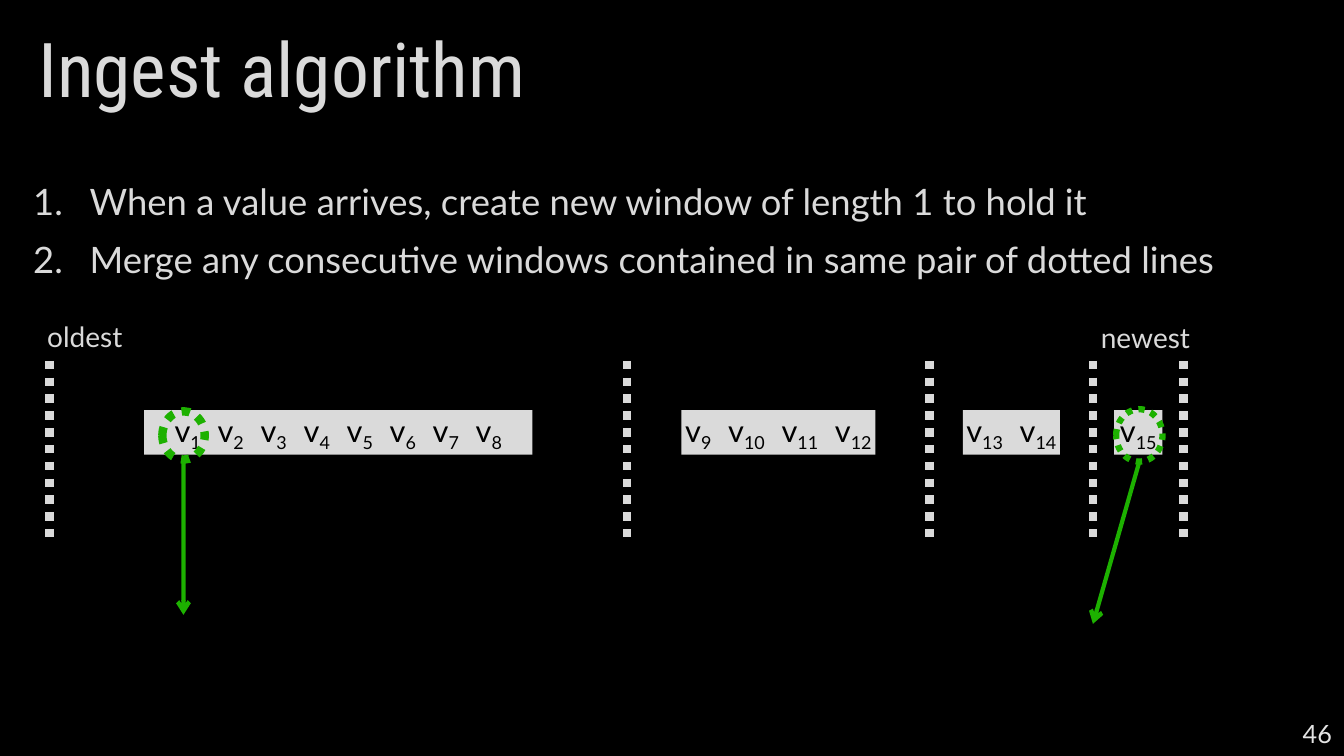
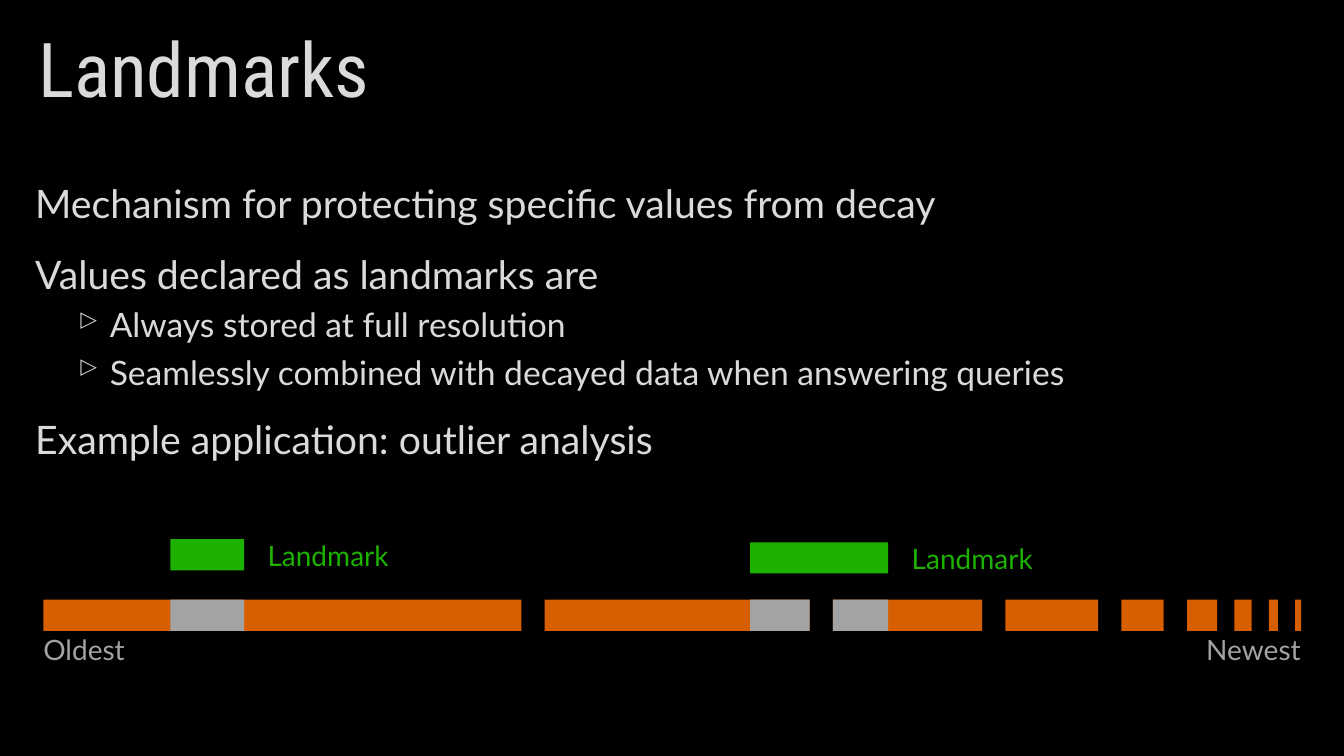
from lxml.etree import SubElement
from pptx import Presentation
from pptx.dml.color import RGBColor
from pptx.enum.dml import MSO_LINE
from pptx.enum.shapes import MSO_CONNECTOR, MSO_SHAPE
from pptx.enum.text import MSO_ANCHOR as ANCHOR, PP_ALIGN as ALIGN
from pptx.oxml.ns import qn
from pptx.util import Inches, Pt

COLORS = {"back": "000000", "text": "DADADA", "number": "E4E4E4",
          "green": "1DB100", "orange": "D75F00", "gray": "A3A3A3"}
RGB = {name: RGBColor.from_string(code) for name, code in COLORS.items()}

prs = Presentation()
prs.slide_width, prs.slide_height = Inches(13.33), Inches(7.5)
# All places and sizes below are percentages of the slide
COL, ROW = prs.slide_width / 100, prs.slide_height / 100


def add_box(s, x, y, w, h, kind=None, fill=None, dots=None):
    """Add a text box, or a preset shape if kind is given."""
    place = int(x * COL), int(y * ROW), int(w * COL), int(h * ROW)
    if kind is None:
        return s.shapes.add_textbox(*place)
    sp = s.shapes.add_shape(kind, *place)
    sp.shadow.inherit = False
    if fill:
        sp.fill.solid()
        sp.fill.fore_color.rgb = RGB[fill]
    else:
        sp.fill.background()
    if dots:
        sp.line.color.rgb = RGB["green"]
        sp.line.width = Pt(dots)
        sp.line.dash_style = MSO_LINE.ROUND_DOT
    else:
        sp.line.fill.background()
    return sp


def write(sp, text, size=20, color="text", font="Lato", align=ALIGN.LEFT,
          anchor=ANCHOR.TOP, inset=None, before=0, spacing=None,
          indent=(0, 0), bullet=None):
    """Add one paragraph; text is a string or a list of (text, attributes)."""
    tf = sp.text_frame
    tf.word_wrap, tf.vertical_anchor = True, anchor
    if inset is not None:
        tf.margin_left = tf.margin_right = inset
        tf.margin_top = tf.margin_bottom = inset
    p = tf.add_paragraph() if tf.text else tf.paragraphs[0]
    p.alignment, p.space_before, p.line_spacing = align, Pt(before), spacing
    pPr = p._p.get_or_add_pPr()
    pPr.set("marL", str(Inches(indent[0])))
    pPr.set("indent", str(Inches(indent[1])))
    if bullet == "1.":
        SubElement(pPr, qn("a:buFont"), typeface="+mj-lt")
        SubElement(pPr, qn("a:buAutoNum"), type="arabicPeriod")
    elif bullet:
        SubElement(pPr, qn("a:buChar"), char=bullet)
    for piece, attrs in [(text, {})] if isinstance(text, str) else text:
        r = p.add_run()
        r.text = piece
        r.font.size, r.font.name, r.font.color.rgb = Pt(size), font, RGB[color]
        for key, value in attrs.items():
            r.font._element.set(key, value)


# Shared: black background, title and body
NUMBERED = dict(size=26, before=10, indent=(0.56, -0.56), bullet="1.")
FIRST = dict(size=28, before=5, indent=(0.02, 0))
LATER = dict(FIRST, before=17)
POINT = dict(size=24, before=5, indent=(0.76, -0.32), bullet="▹")
CONTENT = [
    ("Ingest algorithm", [
        ("When a value arrives, create new window of length 1 to hold it", NUMBERED),
        ("Merge any consecutive windows contained in same pair of dotted lines", NUMBERED)]),
    ("Landmarks", [
        ("Mechanism for protecting specific values from decay", FIRST),
        ("Values declared as landmarks are", LATER),
        ("Always stored at full resolution", POINT),
        ("Seamlessly combined with decayed data when answering queries", POINT),
        ("Example application: outlier analysis", LATER)]),
]
for title, body in CONTENT:
    s = prs.slides.add_slide(prs.slide_layouts[6])
    s.background.fill.solid()
    s.background.fill.fore_color.rgb = RGB["back"]
    write(add_box(s, 2.1, 0, 96, 19.33), title, size=54, font="Roboto Condensed",
          anchor=ANCHOR.MIDDLE, spacing=0.9)
    sp = add_box(s, 1.73, 23.07, 96.6, 67.5)
    for text, style in body:
        write(sp, text, **style)
ingest, landmarks = prs.slides

# Ingest: windows centred between neighbouring dotted lines
DIVIDERS = [3.68, 46.66, 69.17, 81.32, 88.07]
WINDOWS = [range(1, 9), range(9, 13), range(13, 15), range(15, 16)]
VALUE_W = 3.61
for left, right, values in zip(DIVIDERS, DIVIDERS[1:], WINDOWS):
    w = VALUE_W * len(values)
    sp = add_box(ingest, (left + right - w) / 2, 54.27, w, 5.87,
                 MSO_SHAPE.RECTANGLE, "text")
    runs = []
    for value in values:
        if runs:
            runs.append((" ", {"spc": "640"}))
        runs += [("v", {}), (str(value), {"baseline": "-25000"})]
    write(sp, runs, size=22, color="back", align=ALIGN.CENTER,
          anchor=ANCHOR.MIDDLE, inset=0)

# Ingest: rings around the oldest and newest value, each with an arrow
lines = [(x, 47.73, x, 71.47, "text", 6) for x in DIVIDERS]
for x, y, w, h, dots, end_x, end_y in [(12.08, 54.4, 3.15, 6.4, 6, 13.65, 81.33),
                                       (83.05, 54.13, 3.45, 6.93, 4.5, 81.32, 82.53)]:
    add_box(ingest, x, y, w, h, MSO_SHAPE.OVAL, dots=dots)
    lines.append((x + w / 2, y + h, end_x, end_y, "green", 3))

for x1, y1, x2, y2, color, width in lines:
    c = ingest.shapes.add_connector(MSO_CONNECTOR.STRAIGHT, int(x1 * COL), int(y1 * ROW),
                                    int(x2 * COL), int(y2 * ROW))
    c.line.color.rgb = RGB[color]
    c.line.width = Pt(width)
    spPr = c._element.spPr
    if color == "green":
        SubElement(spPr.find(qn("a:ln")), qn("a:tailEnd"), type="arrow")
    else:
        c.line.dash_style = MSO_LINE.ROUND_DOT
    SubElement(spPr, qn("a:effectLst"))

# Ingest: labels and slide number
write(add_box(ingest, 2.78, 41.6, 7.58, 5.87), "oldest")
write(add_box(ingest, 80.65, 41.73, 8.63, 5.87), "newest", align=ALIGN.RIGHT)
write(add_box(ingest, 77.34, 94.4, 22.5, 5.33), "46", size=18, color="number",
      align=ALIGN.RIGHT, anchor=ANCHOR.MIDDLE)

# Landmarks: timeline of shrinking blocks
BAR_Y, BAR_H = 79.33, 4.13
BLOCK_WIDTHS = [35.56, 19.73, 11.1, 6.9, 3.15, 2.25, 1.28, 0.68, 0.45]
blocks, x = [], 3.23
for i, w in enumerate(BLOCK_WIDTHS):
    add_box(landmarks, x, BAR_Y, w, BAR_H, MSO_SHAPE.RECTANGLE, "orange")
    blocks.append((x, x + w))
    x += w + (1.73 if i < 5 else 1.28)

# Landmarks: green bars, and gray where they cover a block
for x, y, w in [(12.68, 71.33, 5.48), (55.81, 71.73, 10.28)]:
    add_box(landmarks, x, y, w, BAR_H, MSO_SHAPE.RECTANGLE, "green")
    write(add_box(landmarks, x + w - 1.13, y - 0.8, 14.78, 5.87), "Landmark",
          color="green", align=ALIGN.CENTER)
    for start, end in blocks:
        left, right = max(x, start), min(x + w, end)
        if left < right:
            add_box(landmarks, left, BAR_Y, right - left, BAR_H,
                    MSO_SHAPE.RECTANGLE, "gray")

# Landmarks: ends of the timeline
write(add_box(landmarks, 2.48, 83.07, 8.03, 5.87), "Oldest", color="gray")
write(add_box(landmarks, 88.37, 83.07, 9.15, 5.87), "Newest", color="gray",
      align=ALIGN.RIGHT)

prs.save("out.pptx")
